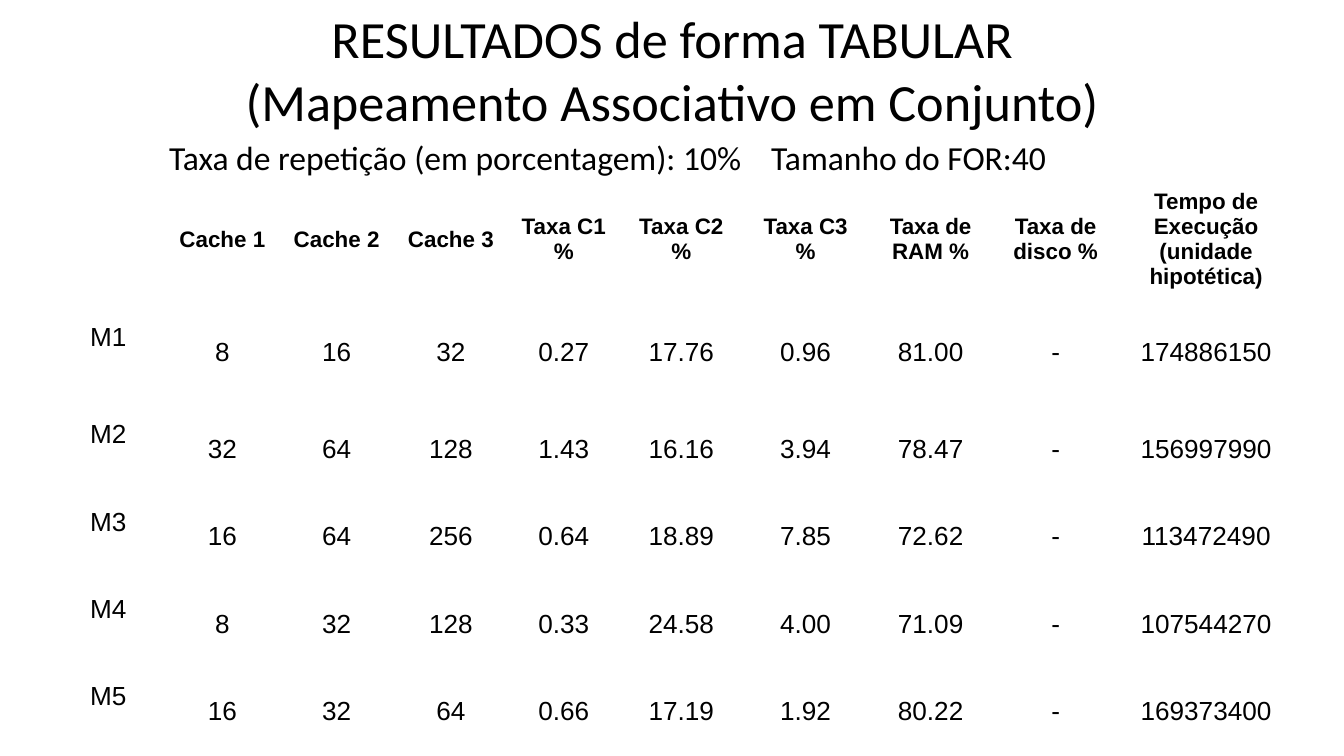
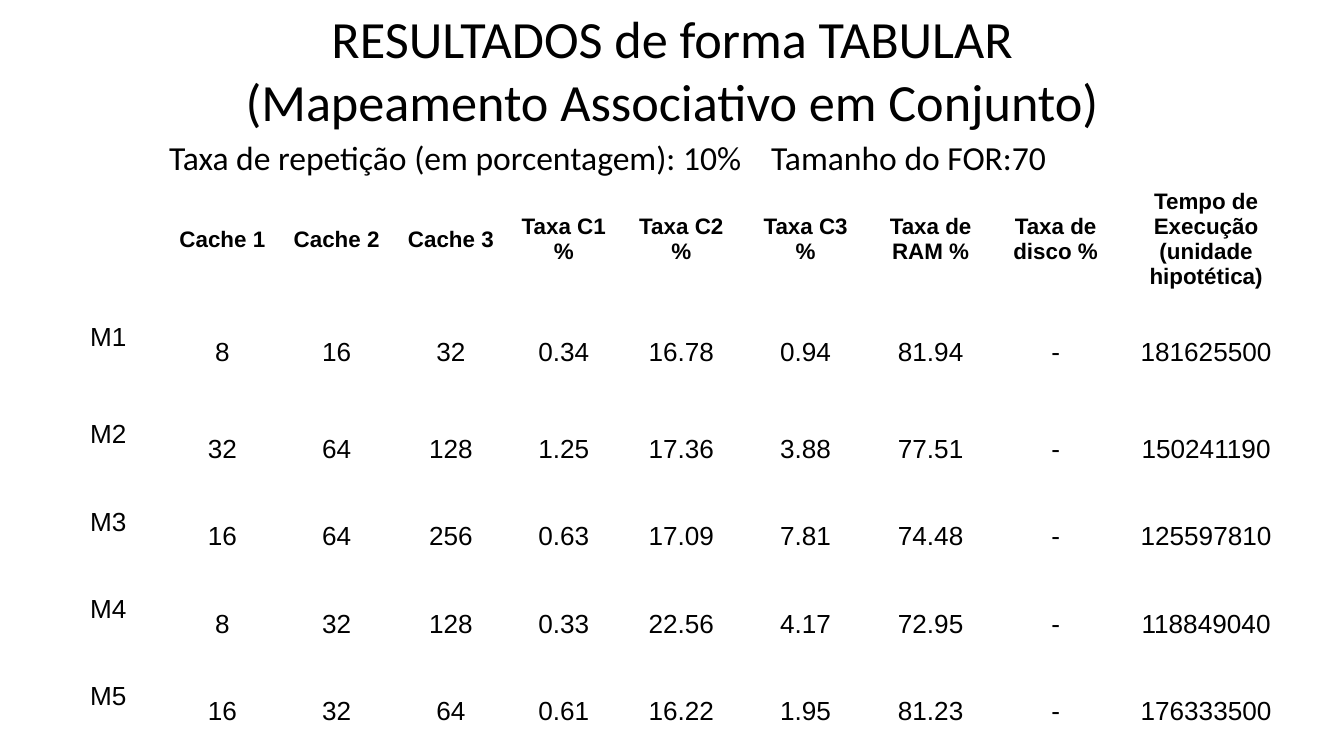
from lxml.etree import SubElement
from pptx import Presentation
from pptx.dml.color import RGBColor
from pptx.enum.text import MSO_ANCHOR as Anchor, PP_ALIGN as Align
from pptx.oxml.ns import qn
from pptx.util import Inches, Pt

BLACK = RGBColor(0, 0, 0)
TITLE = "RESULTADOS de forma TABULAR\n(Mapeamento Associativo em Conjunto)"
HEADS = [
    "", "Cache 1", "Cache 2", "Cache 3",
    "Taxa C1\n%", "Taxa C2\n%", "Taxa C3\n%",
    "Taxa de RAM %", "Taxa de disco %",
    "Tempo de Execução\n(unidade hipotética)",
]
WIDTHS = [0.85] * 4 + [0.83, 0.92] + [0.93] * 3 + [1.31]
HEIGHTS = [0.73, 0.8] + [0.65] * 4
CACHES = [
    ("M1", "8", "16", "32"),
    ("M2", "32", "64", "128"),
    ("M3", "16", "64", "256"),
    ("M4", "8", "32", "128"),
    ("M5", "16", "32", "64"),
]
RUNS = {
    40: [
        ("0.27", "17.76", "0.96", "81.00", "-", "174886150"),
        ("1.43", "16.16", "3.94", "78.47", "-", "156997990"),
        ("0.64", "18.89", "7.85", "72.62", "-", "113472490"),
        ("0.33", "24.58", "4.00", "71.09", "-", "107544270"),
        ("0.66", "17.19", "1.92", "80.22", "-", "169373400"),
    ],
    70: [
        ("0.34", "16.78", "0.94", "81.94", "-", "181625500"),
        ("1.25", "17.36", "3.88", "77.51", "-", "150241190"),
        ("0.63", "17.09", "7.81", "74.48", "-", "125597810"),
        ("0.33", "22.56", "4.17", "72.95", "-", "118849040"),
        ("0.61", "16.22", "1.95", "81.23", "-", "176333500"),
    ],
}


def style(para, name, size, align, bold=False):
    para.alignment = align
    font = para.font
    font.name, font.size, font.bold = name, Pt(size), bold
    font.color.rgb = BLACK


def add_text(slide, box, text, size, align, anchor):
    frame = slide.shapes.add_textbox(*map(Inches, box)).text_frame
    frame.word_wrap = True
    frame.vertical_anchor = anchor
    para = frame.paragraphs[0]
    para.text = text
    style(para, "Calibri", size, align)
    return para


def add_title(slide, box):
    add_text(slide, box, TITLE, 28, Align.CENTER, Anchor.MIDDLE)


def add_params(slide, box, loops):
    text = f"Taxa de repetição (em porcentagem): 10%\tTamanho do FOR:{loops}"
    para = add_text(slide, box, text, 18, Align.LEFT, Anchor.TOP)
    props = para._p.get_or_add_pPr()
    tabs = SubElement(props, qn("a:tabLst"))
    props.insert(0, tabs)
    SubElement(tabs, qn("a:tab"), pos=str(Inches(4.48)), algn="l")


def fill_cell(cell, text, head, label):
    cell.fill.background()
    cell.vertical_anchor = Anchor.MIDDLE
    cell.margin_top = Inches(0.04)
    cell.margin_bottom = Inches(0.26 if label else 0.04)
    cell.text_frame.text = text
    for para in cell.text_frame.paragraphs:
        style(para, "Arial", 12 if head else 14, Align.CENTER, head)


def add_results(slide, box, rates):
    rows = [HEADS] + [a + b for a, b in zip(CACHES, rates)]
    frame = slide.shapes.add_table(len(rows), len(HEADS), *map(Inches, box))
    table = frame.table
    table.first_row = table.horz_banding = False
    for col, width in zip(table.columns, WIDTHS):
        col.width = Inches(width)
    for row, height in zip(table.rows, HEIGHTS):
        row.height = Inches(height)
    frame.width, frame.height = map(Inches, box[2:])
    for i, row in enumerate(rows):
        for j, text in enumerate(row):
            fill_cell(table.cell(i, j), text, i == 0, i > 0 and j == 0)


def add_page(deck, loops, rates):
    slide = deck.slides.add_slide(deck.slide_layouts[6])
    add_title(slide, (1.02, 0.12, 7.96, 0.79))
    add_params(slide, (1.16, 0.97, 7.68, 0.3), loops)
    add_results(slide, (0.38, 1.34, 3.28, 3.28), rates)


def main():
    deck = Presentation()
    deck.slide_width = Inches(10)
    deck.slide_height = deck.slide_width * 9 // 16
    for loops, rates in RUNS.items():
        add_page(deck, loops, rates)
    deck.save("out.pptx")


if __name__ == "__main__":
    main()
